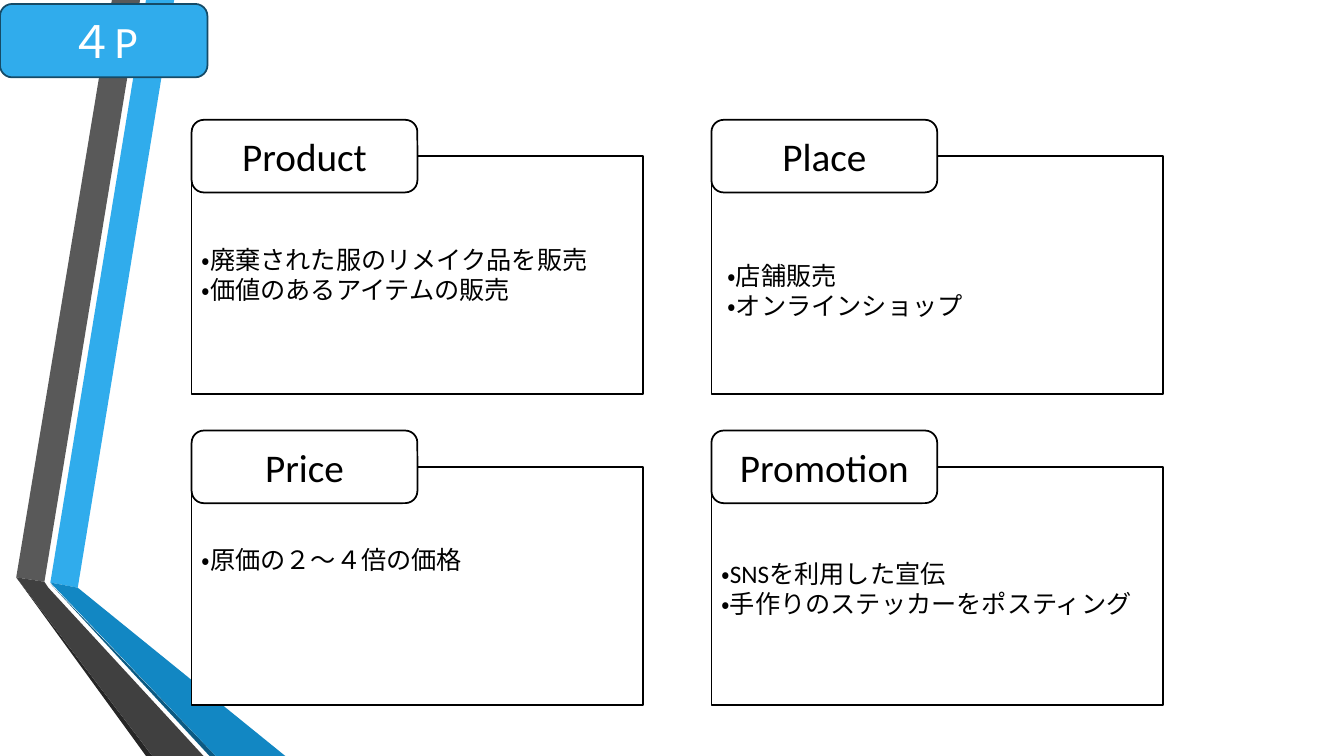
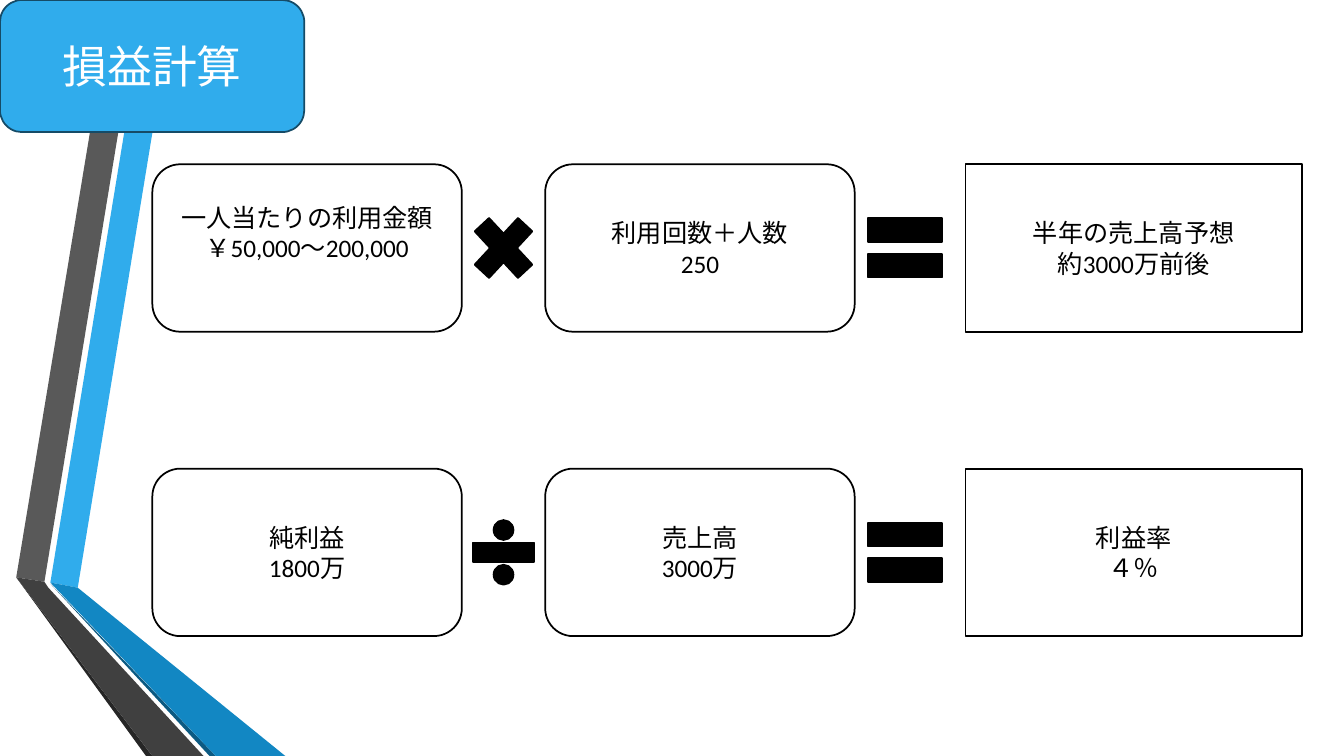
from pptx import Presentation
from pptx.dml.color import RGBColor
from pptx.enum.lang import MSO_LANGUAGE_ID as Language
from pptx.enum.shapes import MSO_SHAPE as Shape, PP_PLACEHOLDER as Placeholder
from pptx.enum.text import MSO_ANCHOR as Anchor, PP_ALIGN as Align
from pptx.util import Cm, Pt

BLACK, WHITE, BLUE, NAVY = "000000", "FFFFFF", "30ACEC", "154B67"
SLIDE_WIDTH, SLIDE_HEIGHT = 33.87, 19.05

# Folded ribbons on the left edge, back to front: colour and outline in cm
RIBBONS = [
    (BLUE, [(1.27, 14.68), (1.96, 14.81), (4.39, 0), (3.68, 0)]),
    ("595959", [(3.53, 0), (2.82, 0), (0.41, 14.55), (1.12, 14.66)]),
    ("262626", [(0.41, 14.55), (3.68, 19.05), (3.84, 19.05)]),
    ("0C5A82", [(1.27, 14.71), (5.28, 19.05), (5.44, 19.05)]),
    ("1287C3", [(1.27, 14.68), (5.44, 19.05), (7.19, 19.05), (1.96, 14.81)]),
    ("404040", [(5.13, 19.05), (1.22, 14.81), (1.12, 14.66), (0.41, 14.55),
                (3.84, 19.05)]),
]


def color(value):
    return RGBColor.from_string(value)


class Deck:
    """Holds the shared style and the current slide."""

    font_name = "Calibri"
    line_width = Pt(1.25)

    def __init__(self):
        self.presentation = Presentation()
        self.presentation.slide_width = Cm(SLIDE_WIDTH)
        self.presentation.slide_height = Cm(SLIDE_HEIGHT)
        self.layout = self.presentation.slide_layouts[5]
        for placeholder in list(self.layout.placeholders):
            if placeholder.placeholder_format.type != Placeholder.TITLE:
                self.layout.shapes.element.remove(placeholder.element)
        self.slide = None

    def add_slide(self, title, top, width, height):
        first = self.slide is None
        self.slide = self.presentation.slides.add_slide(self.layout)
        if first:
            self.add_ribbons()
        self.box(Shape.ROUNDED_RECTANGLE, 0, top, width, height,
                 fill=BLUE, line=NAVY)
        # The title sits on its blue tag
        heading = self.slide.shapes.title
        heading.left, heading.top = Cm(0), Cm(top)
        heading.width, heading.height = Cm(width), Cm(height)
        self.set_text(heading, [title], 32, WHITE)
        self.slide.shapes.element.append(heading.element)

    def add_ribbons(self):
        """Draw the ribbons and hand them to the layout all slides share."""
        for fill, outline in RIBBONS:
            points = [(Cm(x), Cm(y)) for x, y in outline]
            builder = self.slide.shapes.build_freeform(*points[0])
            builder.add_line_segments(points[1:], close=True)
            ribbon = builder.convert_to_shape()
            ribbon.shadow.inherit = False
            ribbon.fill.solid()
            ribbon.fill.fore_color.rgb = color(fill)
            ribbon.line.fill.background()
            self.layout.shapes.element.append(ribbon.element)

    def set_text(self, shape, lines, size, text_color=BLACK,
                 align=Align.CENTER, anchor=Anchor.MIDDLE):
        frame = shape.text_frame
        frame.word_wrap = True
        frame.vertical_anchor = anchor
        frame.text = "\n".join(lines)
        for paragraph in frame.paragraphs:
            paragraph.alignment = align
            font = paragraph.font
            font.name, font.size = self.font_name, Pt(size)
            font.color.rgb = color(text_color)
            font.language_id = Language.JAPANESE

    def box(self, kind, left, top, width, height, lines=(), size=18,
            fill=WHITE, line=BLACK):
        shape = self.slide.shapes.add_shape(
            kind, Cm(left), Cm(top), Cm(width), Cm(height))
        shape.shadow.inherit = False
        shape.fill.solid()
        shape.fill.fore_color.rgb = color(fill)
        shape.line.color.rgb = color(line)
        shape.line.width = self.line_width
        if lines:
            self.set_text(shape, lines, size)
        return shape

    def note(self, left, top, lines):
        text_box = self.slide.shapes.add_textbox(
            Cm(left), Cm(top), Cm(11.4), Cm(1.8))
        self.set_text(text_box, lines, 18, align=Align.LEFT,
                      anchor=Anchor.TOP)

    def operator(self, kind, left, middle, width, height):
        self.box(kind, left, middle - height / 2, width, height, fill=BLACK)


def add_marketing_mix(deck):
    deck.add_slide("４P", 0.1, 5.23, 1.85)
    left, right, upper, lower = 4.83, 17.93, 3.02, 10.85
    tab_width, tab_height = 5.69, 1.83
    # Heading, tab corner, note corner, note lines
    panels = [
        ("Product", left, upper, 4.83, 6.02,
         ["・廃棄された服のリメイク品を販売", "・価値のあるアイテムの販売"]),
        ("Price", left, lower, 4.83, 13.58, ["・原価の２～４倍の価格"]),
        ("Place", right, upper, 18.08, 6.43,
         ["・店舗販売", "・オンラインショップ"]),
        ("Promotion", right, lower, 17.93, 13.94,
         ["・SNSを利用した宣伝", "・手作りのステッカーをポスティング"]),
    ]
    for heading, x, y, note_left, note_top, lines in panels:
        deck.box(Shape.RECTANGLE, x, y + tab_height / 2, 2 * tab_width, 6)
        deck.box(Shape.ROUNDED_RECTANGLE, x, y, tab_width, tab_height,
                 [heading], 28)
        deck.note(note_left, note_top, lines)


def add_profit_calculation(deck):
    deck.add_slide("損益計算", 0, 7.67, 3.33)
    height = 4.22
    # Row top, operator and its height, then the three terms
    rows = [
        (4.14, Shape.MATH_MULTIPLY, 2.26,
         ["一人当たりの利用金額", "￥50,000～200,000"],
         ["利用回数＋人数", "250"],
         ["半年の売上高予想", "約3000万前後"]),
        (11.81, Shape.MATH_DIVIDE, 2.13,
         ["純利益", "1800万"], ["売上高", "3000万"], ["利益率", "４％"]),
    ]
    first_terms = []
    for top, sign, sign_height, first, second, result in rows:
        middle = top + height / 2
        first_terms.append(deck.box(
            Shape.ROUNDED_RECTANGLE, 3.84, top, 7.8, height, first))
        deck.operator(sign, 11.64, middle, 2.1, sign_height)
        deck.box(Shape.ROUNDED_RECTANGLE, 13.74, top, 7.8, height, second)
        deck.operator(Shape.MATH_EQUAL, 21.54, middle, 2.54, 2.54)
        deck.box(Shape.RECTANGLE, 24.33, top, 8.48, height, result)
    # The spending term sits one half line above the middle
    first_terms[0].text_frame.margin_bottom = Cm(0.9)


def main():
    deck = Deck()
    add_marketing_mix(deck)
    add_profit_calculation(deck)
    deck.presentation.save("out.pptx")


if __name__ == "__main__":
    main()
